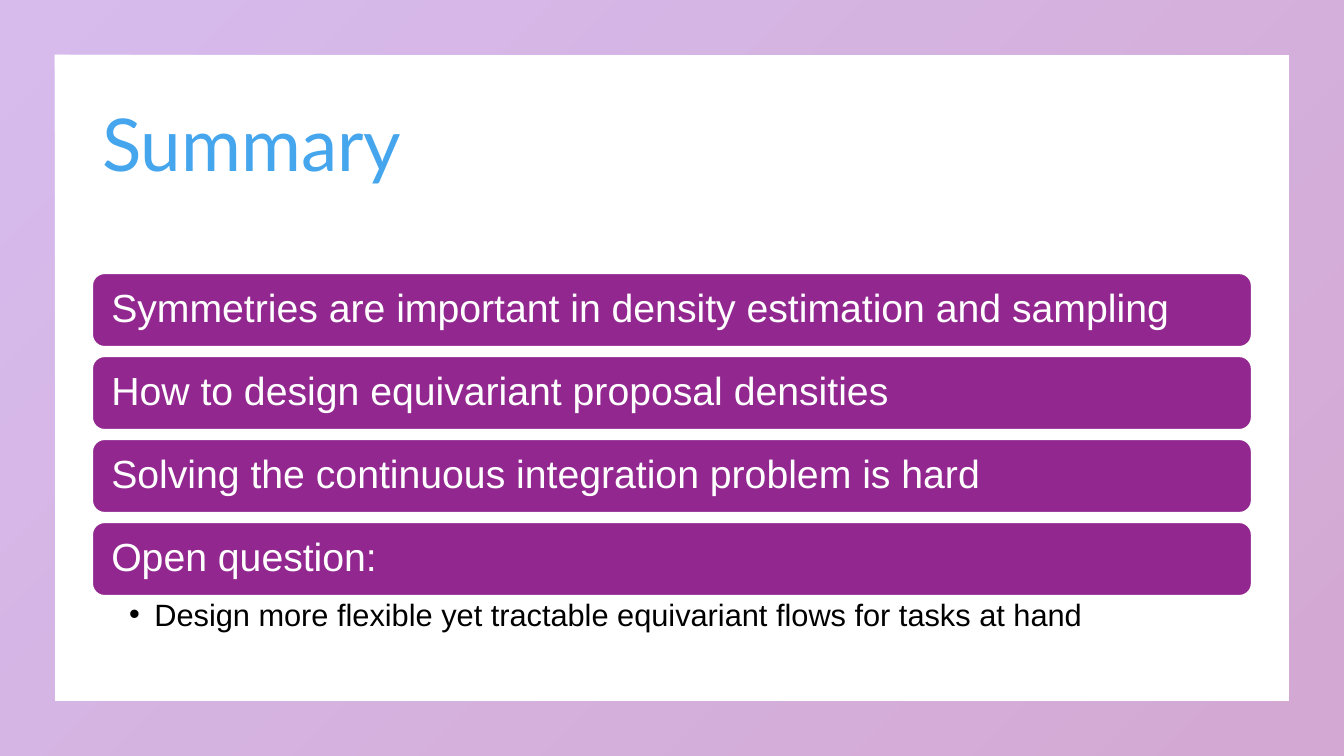
from lxml import etree
from pptx import Presentation
from pptx.dml.color import RGBColor
from pptx.enum.shapes import MSO_SHAPE as Shape
from pptx.enum.text import MSO_ANCHOR as Anchor, PP_ALIGN as Align
from pptx.oxml.ns import qn
from pptx.util import Pt

# Content
TITLE = "Summary"
POINTS = [
    "Symmetries are important in density estimation and sampling",
    "How to design equivariant proposal densities",
    "Solving the continuous integration problem is hard",
    "Open question:",
]
QUESTION = "Design more flexible yet tractable equivariant flows for tasks at hand"

# Layout in points
SLIDE_W, SLIDE_H = 960, 540
LEFT, WIDTH = 66, 828
BAR_TOP, BAR_H, BAR_STEP = 195.3, 52.3, 59.28

PURPLE, VIOLET, BLUE, WHITE, BLACK = "92278F", "9B57D3", "45A5ED", "FFFFFF", "000000"


def color(target, hex_code):
    target.rgb = RGBColor.from_string(hex_code)


def write(box, text, font_name, size, hex_code, insets, anchor=Anchor.MIDDLE):
    frame = box.text_frame
    frame.word_wrap = True
    frame.vertical_anchor = anchor
    (frame.margin_left, frame.margin_top,
     frame.margin_right, frame.margin_bottom) = map(Pt, insets)
    line = frame.paragraphs[0]
    line.alignment = Align.LEFT
    line.line_spacing = 0.9
    run = line.add_run()
    run.text = text
    run.font.name, run.font.size = font_name, Pt(size)
    run.font.fill.solid()
    color(run.font.fill.fore_color, hex_code)
    return line


def add_bullet(line, indent):
    props = line._p.get_or_add_pPr()
    props.set("marL", str(Pt(indent)))
    props.set("indent", str(-Pt(indent)))
    etree.SubElement(props, qn("a:buFont")).set("typeface", "Arial")
    etree.SubElement(props, qn("a:buChar")).set("char", "•")


prs = Presentation()
prs.slide_width, prs.slide_height = Pt(SLIDE_W), Pt(SLIDE_H)
slide = prs.slides.add_slide(prs.slide_layouts[6])
shapes = slide.shapes

# Translucent gradient border
border = shapes.add_shape(Shape.FRAME, 0, 0, Pt(SLIDE_W), Pt(SLIDE_H))
border.shadow.inherit = False
border.adjustments[0] = 0.072
border.line.fill.background()
border.fill.gradient()
border.fill.gradient_angle = 315
for stop, position, shade in zip(border.fill.gradient_stops, (0, 1), (VIOLET, PURPLE)):
    stop.position = position
    color(stop.color, shade)
for shade in border._element.spPr.iter(qn("a:srgbClr")):
    etree.SubElement(shade, qn("a:alpha")).set("val", "40000")

# Title
title = shapes.add_textbox(Pt(LEFT), Pt(53.3), Pt(WIDTH), Pt(104.4))
write(title, TITLE, "Lato", 52, BLUE, (7.2, 3.6, 7.2, 3.6))

# Bars, one per point
for i, point in enumerate(POINTS):
    bar = shapes.add_shape(Shape.ROUNDED_RECTANGLE, Pt(LEFT), Pt(BAR_TOP + i * BAR_STEP),
                           Pt(WIDTH), Pt(BAR_H))
    bar.shadow.inherit = False
    bar.fill.solid()
    color(bar.fill.fore_color, PURPLE)
    bar.line.width = Pt(1)
    color(bar.line.color, WHITE)
    write(bar, point, "Arial", 28, WHITE, (11, 8.4, 11, 8.4))

# Open question under the last bar
question_top = BAR_TOP + (len(POINTS) - 1) * BAR_STEP + BAR_H
question = shapes.add_textbox(Pt(LEFT), Pt(question_top), Pt(WIDTH), Pt(36.7))
question_line = write(question, QUESTION, "Arial", 22, BLACK, (26.3, 2.8, 15.6, 2.8), Anchor.TOP)
add_bullet(question_line, 18)

prs.save("out.pptx")
